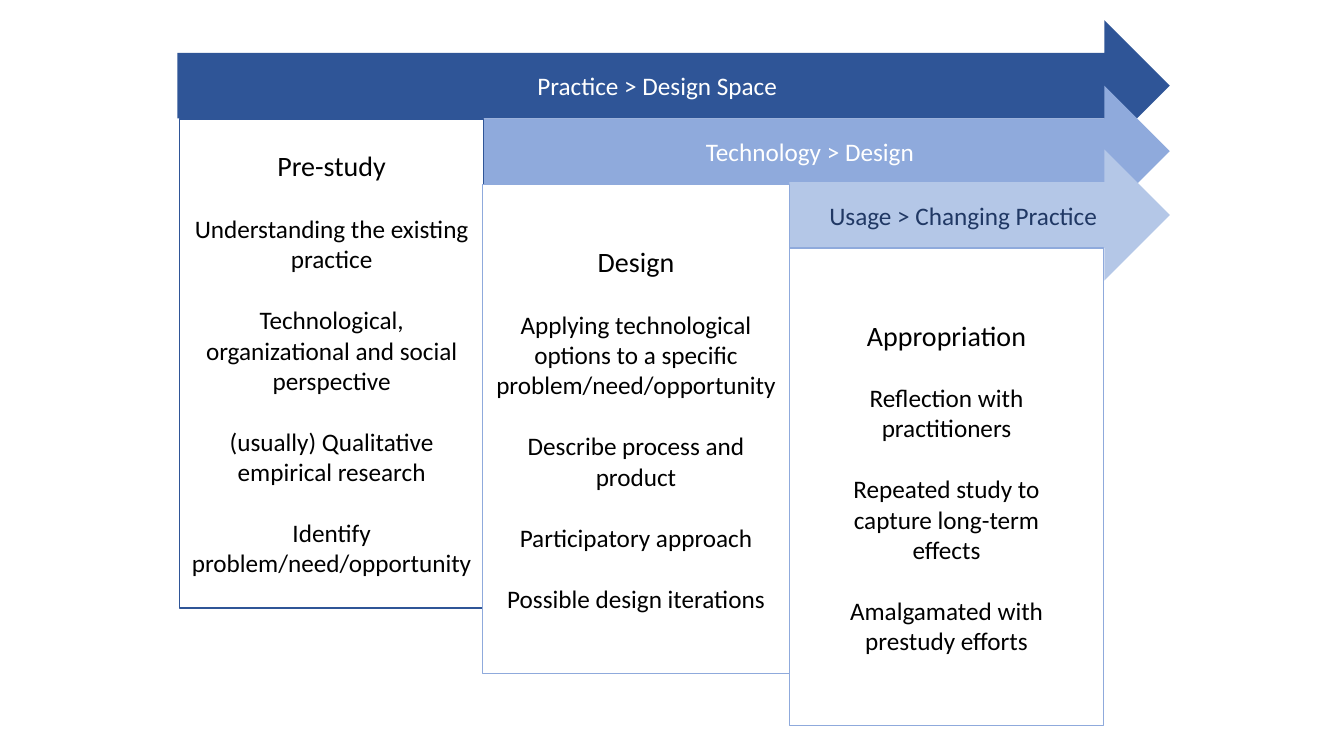
from pptx import Presentation
from pptx.dml.color import RGBColor
from pptx.enum import shapes, text
from pptx.util import Pt

FONT = "Calibri"
BODY_SIZE = 18
HEADING_SIZE = 20
BLANK_LINE = 22
ARROW_HEIGHT = 93.6
ARROW_TIP = 835.6

# label, left, top, fill, text colour
ARROWS = [
    ("Practice > Design Space", 126.7, 14.4, "2F5597", "FFFFFF"),
    ("Technology > Design", 344.9, 61.2, "8FAADC", "FFFFFF"),
    ("Usage > Changing Practice", 563.8, 106.8, "B4C7E7", "203864"),
]

# heading, points, (left, top, width, height), outline, side inset
PHASES = [
    ("Pre-study",
     ["Understanding the existing practice",
      "Technological, organizational and social perspective",
      "(usually) Qualitative empirical research",
      "Identify problem/need/opportunity"],
     (128.2, 85, 217.4, 349.2), "2F5597", 7.2),
    ("Design",
     ["Applying technological options to a specific problem/need/opportunity",
      "Describe process and product",
      "Participatory approach",
      "Possible design iterations"],
     (344.9, 131.8, 218.9, 349.2), "8FAADC", 7.2),
    ("Appropriation",
     ["Reflection with practitioners",
      "Repeated study to capture long-term effects",
      "Amalgamated with prestudy efforts"],
     (563.8, 177.1, 224.6, 341.3), "8FAADC", 32),
]


def color(hex_value):
    """Turn a hex string into a colour."""
    return RGBColor.from_string(hex_value)


def add_block(slide, preset, box, fill, outline=None):
    """Add a flat filled shape, with a 1 pt outline if one is given."""
    block = slide.shapes.add_shape(preset, *(Pt(length) for length in box))
    block.shadow.inherit = False
    block.fill.solid()
    block.fill.fore_color.rgb = color(fill)
    if outline:
        block.line.color.rgb = color(outline)
        block.line.width = Pt(1)
    else:
        block.line.fill.background()
    block.text_frame.word_wrap = True
    block.text_frame.vertical_anchor = text.MSO_ANCHOR.MIDDLE
    return block


def format_paragraph(paragraph, size, ink, space_before=0):
    """Centre a paragraph and set its font and spacing."""
    paragraph.alignment = text.PP_ALIGN.CENTER
    paragraph.space_before = Pt(space_before)
    for run in paragraph.runs:
        run.font.name = FONT
        run.font.size = Pt(size)
        run.font.color.rgb = color(ink)


def add_phase_arrow(slide, label, left, top, fill, ink):
    """Add a labelled arrow that ends at the shared tip."""
    box = (left, top, ARROW_TIP - left, ARROW_HEIGHT)
    arrow = add_block(slide, shapes.MSO_SHAPE.RIGHT_ARROW, box, fill)
    arrow.text_frame.text = label
    format_paragraph(arrow.text_frame.paragraphs[0], BODY_SIZE, ink)


def add_phase_panel(slide, heading, points, box, outline, inset):
    """Add a white panel with a heading and spaced points."""
    panel = add_block(slide, shapes.MSO_SHAPE.RECTANGLE, box, "FFFFFF", outline)
    frame = panel.text_frame
    frame.margin_left = frame.margin_right = Pt(inset)
    frame.text = heading
    format_paragraph(frame.paragraphs[0], HEADING_SIZE, "000000")
    for point in points:
        paragraph = frame.add_paragraph()
        paragraph.text = point
        format_paragraph(paragraph, BODY_SIZE, "000000", BLANK_LINE)


def main():
    """Build the three-phase slide and save it."""
    deck = Presentation()
    deck.slide_width, deck.slide_height = Pt(960), Pt(540)
    slide = deck.slides.add_slide(deck.slide_layouts[6])
    for arrow in ARROWS:
        add_phase_arrow(slide, *arrow)
    for phase in PHASES:
        add_phase_panel(slide, *phase)
    deck.save("out.pptx")


main()
